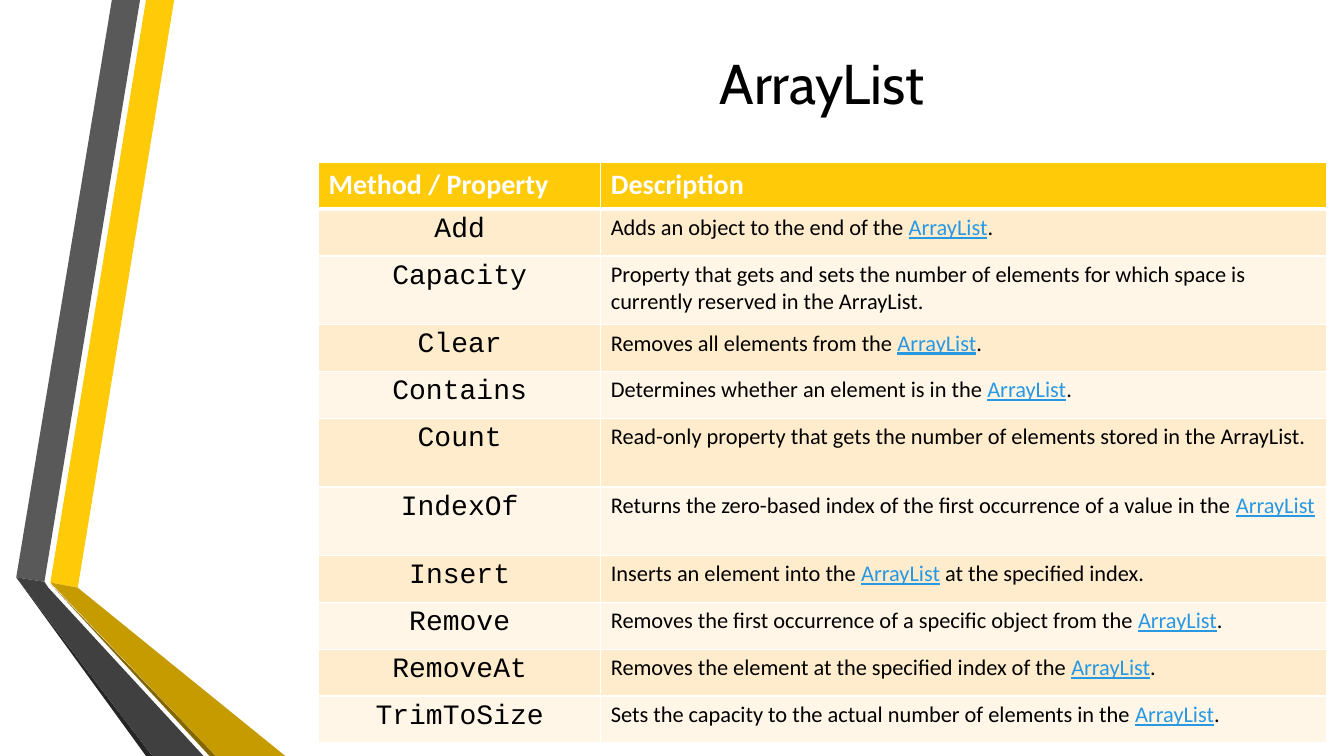
"""Build the ArrayList slide: ribbon at the left, title and a table of members."""
from dataclasses import dataclass

from lxml import etree
from pptx import Presentation
from pptx.dml.color import RGBColor
from pptx.enum import text
from pptx.oxml import ns
from pptx.util import Cm, Pt


@dataclass(frozen=True)
class Theme:
    gold: str = "FFCA08"
    gold_mid: str = "C59B00"
    gold_dark: str = "846700"
    grey: str = "595959"
    grey_mid: str = "404040"
    grey_dark: str = "262626"
    bands: tuple = ("FFECCC", "FFF6E7")
    white: str = "FFFFFF"
    black: str = "000000"
    link: str = "2998E3"
    title_size: int = 40
    name_size: int = 20
    body_size: int = 16


T = Theme()


def add_run(p, content, color, **formats):
    r = p.add_run()
    r.text = content
    r.font.color.rgb = RGBColor.from_string(color)
    for key, value in formats.items():
        setattr(r.font, key, value)


def style_cell(cell, fill, top=1, bottom=1):
    cell.fill.solid()
    cell.fill.fore_color.rgb = RGBColor.from_string(fill)
    tc_pr = cell._tc.get_or_add_tcPr()
    widths = {"a:lnL": 1, "a:lnR": 1, "a:lnT": top, "a:lnB": bottom}
    for i, (side, width) in enumerate(widths.items()):
        ln = etree.Element(ns.qn(side), w=str(Pt(width)))
        solid = etree.SubElement(ln, ns.qn("a:solidFill"))
        etree.SubElement(solid, ns.qn("a:srgbClr"), val=T.white)
        tc_pr.insert(i, ln)


prs = Presentation()
prs.slide_width, prs.slide_height = Cm(33.87), Cm(19.05)
s = prs.slides.add_slide(prs.slide_layouts[6])

ribbons = [
    (T.gold, [(1.27, 14.68), (1.96, 14.81), (4.39, 0), (3.68, 0)]),
    (T.grey, [(3.53, 0), (2.82, 0), (0.41, 14.55), (1.12, 14.66)]),
    (T.grey_dark, [(0.41, 14.55), (3.68, 19.05), (3.84, 19.05)]),
    (T.gold_dark, [(1.27, 14.71), (5.28, 19.05), (5.44, 19.05)]),
    (T.gold_mid, [(1.27, 14.68), (5.44, 19.05), (7.19, 19.05), (1.96, 14.81)]),
    (T.grey_mid, [(5.13, 19.05), (1.22, 14.81), (1.12, 14.66), (0.41, 14.55),
                  (3.84, 19.05)]),
]
for color, points in ribbons:
    start, *rest = [(Cm(x), Cm(y)) for x, y in points]
    builder = s.shapes.build_freeform(*start)
    builder.add_line_segments(rest, close=True)
    sp = builder.convert_to_shape()
    sp.shadow.inherit = False
    sp.fill.solid()
    sp.fill.fore_color.rgb = RGBColor.from_string(color)
    sp.line.fill.background()

sp = s.shapes.add_textbox(Cm(10.24), Cm(0.05), Cm(20.96), Cm(4.04))
tf = sp.text_frame
for key, value in {"word_wrap": True, "vertical_anchor": text.MSO_ANCHOR.MIDDLE}.items():
    setattr(tf, key, value)
p = tf.paragraphs[0]
p.alignment = text.PP_ALIGN.CENTER
add_run(p, "ArrayList", T.black, name="Cabin", size=Pt(T.title_size))

headers = ["Method / Property", "Description"]
members = [
    ("Add", "Adds an object to the end of the |ArrayList|."),
    ("Capacity", "Property that gets and sets the number of elements for which "
                 "space is currently reserved in the ArrayList."),
    ("Clear", "Removes all elements from the |ArrayList|."),
    ("Contains", "Determines whether an element is in the |ArrayList|."),
    ("Count", "Read-only property that gets the number of elements stored in the ArrayList."),
    ("IndexOf", "Returns the zero-based index of the first occurrence of a value "
                "in the |ArrayList"),
    ("Insert", "Inserts an element into the |ArrayList| at the specified index."),
    ("Remove", "Removes the first occurrence of a specific object from the |ArrayList|."),
    ("RemoveAt", "Removes the element at the specified index of the |ArrayList|."),
    ("TrimToSize", "Sets the capacity to the actual number of elements in the |ArrayList|."),
]
tall_rows = {"Capacity", "Count", "IndexOf"}

table = s.shapes.add_table(len(members) + 1, 2, Cm(8.03), Cm(4.09),
                           Cm(25.4), Cm(14.63)).table
for column, width in zip(table.columns, (7.11, 18.29)):
    column.width = Cm(width)

table.rows[0].height = Cm(1.18)
for cell, header in zip(table.rows[0].cells, headers):
    style_cell(cell, T.gold, bottom=3)
    add_run(cell.text_frame.paragraphs[0], header, T.white,
            name="Calibri", size=Pt(T.name_size), bold=True)

for i, (name, description) in enumerate(members):
    row = table.rows[i + 1]
    row.height = Cm(1.73 if name in tall_rows else 1.18)
    for cell in row.cells:
        style_cell(cell, T.bands[i % 2], top=1 if i else 3)
    p = row.cells[0].text_frame.paragraphs[0]
    p.alignment = text.PP_ALIGN.CENTER
    add_run(p, name, T.black, name="Courier New", size=Pt(T.name_size), bold=False)
    p = row.cells[1].text_frame.paragraphs[0]
    for j, part in enumerate(description.split("|")):
        linked = j % 2 == 1
        add_run(p, part, T.link if linked else T.black, name="Calibri",
                size=Pt(T.body_size), bold=False, underline=linked)

prs.save("out.pptx")
